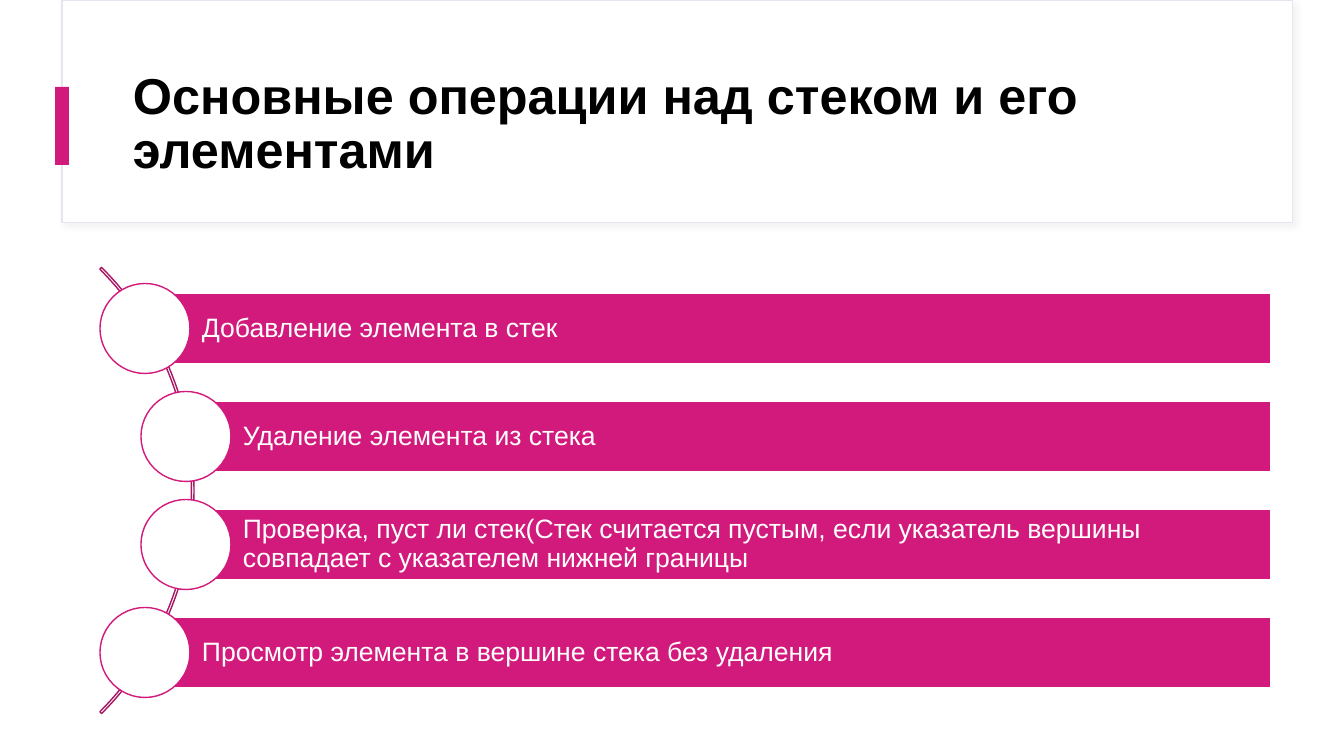
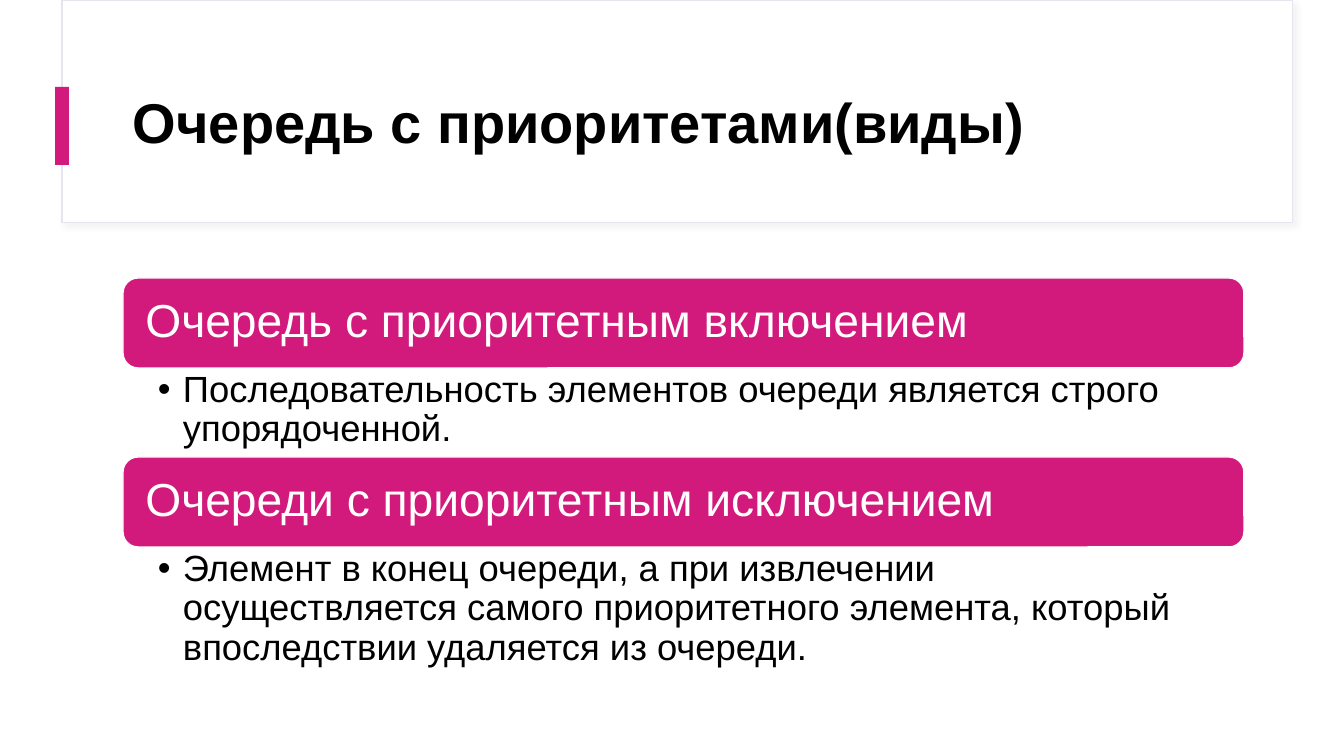
"""Build two slides on stack operations and priority queues."""
import pptx
import pptx.util
import pptx.dml.color
import pptx.enum.shapes
import pptx.enum.text
import pptx.oxml
import pptx.oxml.ns

STACK = {
    "title": "Основные операции над стеком и его элементами",
    "size": 36,
    "steps": [
        ("Добавление элемента в стек", 145),
        ("Удаление элемента из стека", 186),
        ("Проверка, пуст ли стек(Стек считается пустым, если указатель "
         "вершины совпадает с указателем нижней границы", 186),
        ("Просмотр элемента в вершине стека без удаления", 145),
    ],
}
QUEUE = {
    "title": "Очередь с приоритетами(виды)",
    "size": 40,
    "kinds": [
        ("Очередь с приоритетным включением", 278,
         "Последовательность элементов очереди является строго "
         "упорядоченной.", 93),
        ("Очереди с приоритетным исключением", 457,
         "Элемент в конец очереди, а при извлечении осуществляется самого "
         "приоритетного элемента, который впоследствии удаляется из очереди.",
         132),
    ],
}
COLOR = {"pink": "D21A7C", "dark": "A81563", "edge": "E5E5F0",
         "shade": "D9D9D9", "white": "FFFFFF", "black": "000000"}
FONT = "Arial"
SHAPE = pptx.enum.shapes.MSO_SHAPE
ANCHOR = pptx.enum.text.MSO_ANCHOR
SCALE = 914400 / 100.8
WIDE, HIGH = 1344, 756
LEFT, WIDTH = 123, 1121


def px(num):
    return pptx.util.Emu(round(num * SCALE))


def rgb(name):
    return pptx.dml.color.RGBColor.from_string(COLOR[name])


def place(shape, box):
    shape.left, shape.top, shape.width, shape.height = map(px, box)


def draw(slide, kind, box, fill=None, line=None, width=1):
    shape = slide.shapes.add_shape(kind, *map(px, box))
    shape.shadow.inherit = False
    if fill:
        shape.fill.solid()
        shape.fill.fore_color.rgb = rgb(fill)
    else:
        shape.fill.background()
    if line:
        shape.line.color.rgb = rgb(line)
        shape.line.width = pptx.util.Pt(width)
    else:
        shape.line.fill.background()
    return shape


def write(shape, text, size, color, inset, anchor=ANCHOR.MIDDLE, bold=False):
    frame = shape.text_frame
    frame.word_wrap = True
    frame.auto_size = pptx.enum.text.MSO_AUTO_SIZE.NONE
    frame.vertical_anchor = anchor
    (frame.margin_left, frame.margin_top,
     frame.margin_right, frame.margin_bottom) = map(px, inset)
    para = frame.paragraphs[0]
    para.alignment = pptx.enum.text.PP_ALIGN.LEFT
    para.line_spacing = 0.9
    para.space_before = pptx.util.Pt(0)
    run = para.add_run()
    run.text = text
    run.font.name = FONT
    run.font.size = pptx.util.Pt(size)
    run.font.bold = bold
    run.font.color.rgb = rgb(color)
    return para


def bullet(para, dent):
    props = para._p.get_or_add_pPr()
    props.set("marL", str(px(dent)))
    props.set("indent", str(px(-dent)))
    props.append(pptx.oxml.parse_xml(
        f'<a:buChar {pptx.oxml.ns.nsdecls("a")} char="•"/>'))


def cast(shape):
    blur, far = pptx.util.Pt(4), pptx.util.Pt(3)
    effect = shape.element.spPr.find(pptx.oxml.ns.qn("a:effectLst"))
    effect.append(pptx.oxml.parse_xml(
        f'<a:outerShdw {pptx.oxml.ns.nsdecls("a")} blurRad="{blur}" '
        f'dist="{far}" dir="2700000" algn="tl" rotWithShape="0">'
        f'<a:srgbClr val="{COLOR["shade"]}"><a:alpha val="30000"/>'
        f'</a:srgbClr></a:outerShdw>'))


def frame_deck(deck, slide):
    card = draw(slide, SHAPE.RECTANGLE, (62, 0, 1231, 223),
                "white", "edge", 0.75)
    cast(card)
    mark = draw(slide, SHAPE.RECTANGLE, (55, 87, 14, 78), "pink")
    tree = deck.slide_master.shapes.element
    for step, shape in enumerate((card, mark)):
        shape.element.nvSpPr.cNvPr.set("id", str(100 + step))
        tree.insert(2 + step, shape.element)


def start(deck, layout, data):
    slide = deck.slides.add_slide(deck.slide_layouts[layout])
    title = slide.shapes.title
    place(title, (LEFT, 60, WIDTH, 130))
    write(title, data["title"], data["size"], "black", (10, 5, 10, 5),
          bold=True)
    return slide


def add_stack(deck):
    slide = start(deck, 5, STACK)
    top, pitch, tall, disc, right = 293, 108, 71, 90, 1271
    arc = draw(slide, SHAPE.BLOCK_ARC, (-437, 175, 631, 631), line="dark")
    for step, value in enumerate((189, 27, 0.004)):
        arc.adjustments[step] = value
    for row, (text, left) in enumerate(STACK["steps"]):
        y = top + row * pitch
        bar = draw(slide, SHAPE.RECTANGLE, (left, y, right - left, tall),
                   "pink", "white")
        write(bar, text, 19, "white", (57, 5, 5, 5))
        draw(slide, SHAPE.OVAL,
             (left - disc / 2, y + (tall - disc) / 2, disc, disc),
             "white", "pink")
    return slide


def add_queue(deck):
    slide = start(deck, 3, QUEUE)
    tall = 90
    for spot, (head, top, text, high) in enumerate(QUEUE["kinds"], 1):
        bar = draw(slide, SHAPE.ROUNDED_RECTANGLE, (LEFT, top, WIDTH, tall),
                   "pink", "white")
        write(bar, head, 33, "white", (18, 5, 18, 5))
        body = slide.placeholders[spot]
        place(body, (LEFT, top + tall - 2, WIDTH, high))
        bullet(write(body, text, 26, "black", (35, 5, 26, 5), ANCHOR.TOP), 25)


def main():
    deck = pptx.Presentation()
    deck.slide_width, deck.slide_height = px(WIDE), px(HIGH)
    frame_deck(deck, add_stack(deck))
    add_queue(deck)
    deck.save("out.pptx")


if __name__ == "__main__":
    main()
